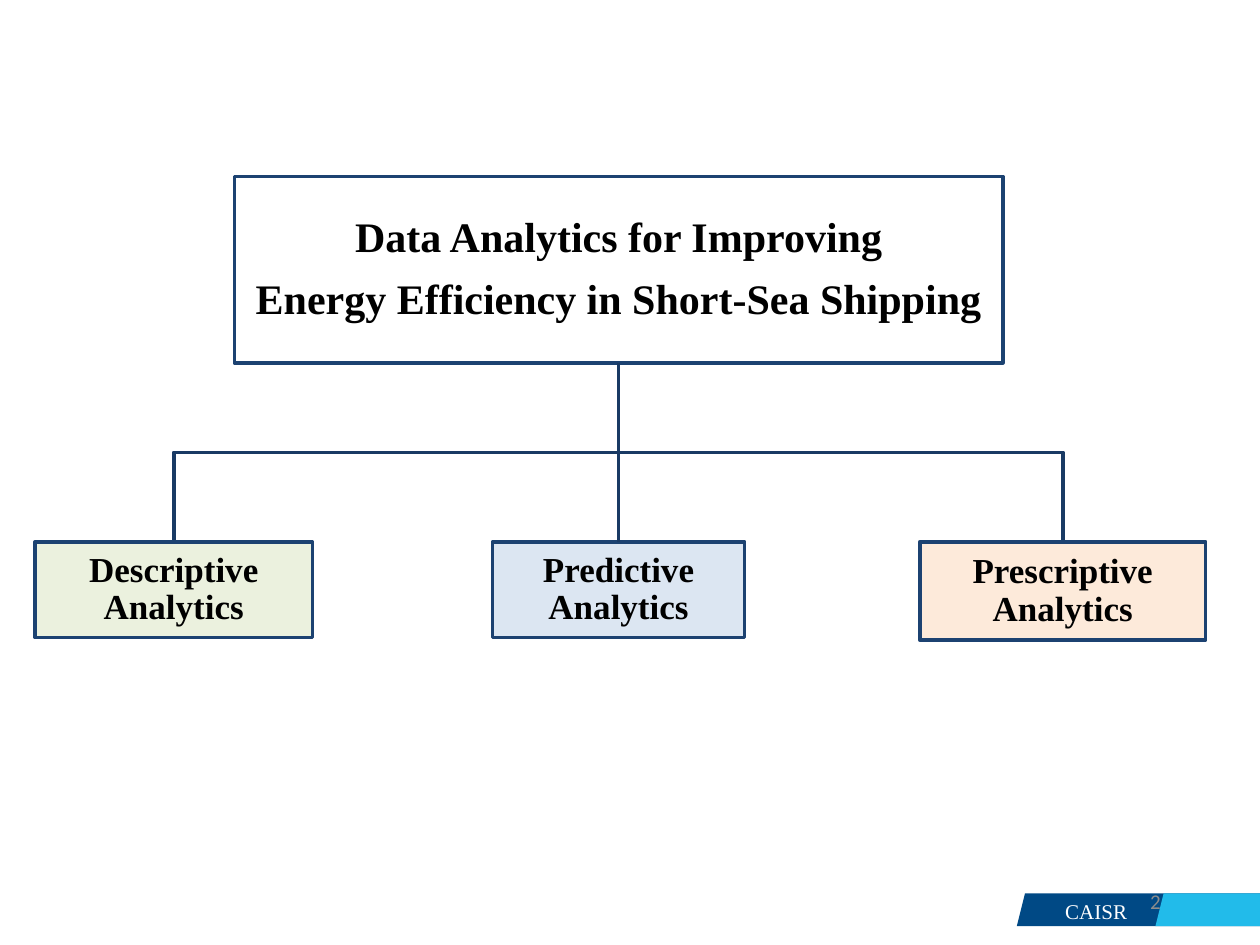
from dataclasses import dataclass

import pptx
import pptx.dml.color
import pptx.enum.shapes
import pptx.enum.text
import pptx.util
from lxml import etree

Inches = pptx.util.Inches
Pt = pptx.util.Pt
RGBColor = pptx.dml.color.RGBColor
Align = pptx.enum.text.PP_ALIGN
ShapeKind = pptx.enum.shapes.MSO_SHAPE

WHITE = RGBColor(0xFF, 0xFF, 0xFF)
BLACK = RGBColor(0x00, 0x00, 0x00)
GREY = RGBColor(0x8C, 0x8C, 0x8C)
BORDER = RGBColor(0x1C, 0x42, 0x71)
LINK = RGBColor(0x19, 0x3A, 0x64)
NAVY = RGBColor(0x00, 0x49, 0x85)
CYAN = RGBColor(0x22, 0xBB, 0xEA)
GREEN = RGBColor(0xEB, 0xF1, 0xDE)
BLUE = RGBColor(0xDC, 0xE6, 0xF2)
ORANGE = RGBColor(0xFD, 0xEA, 0xDA)

SERIF = "Times New Roman"
LINE_WIDTH = Pt(2)
BUS_Y = Inches(3.59)


@dataclass
class Node:
    lines: list[str]
    left: float
    top: float
    width: float
    height: float
    fill: RGBColor
    size: int = 20
    inset: float = 0.01


@dataclass
class Label:
    text: str
    left: float
    top: float
    width: float
    align: Align
    font: str
    color: RGBColor


ROOT = Node(["Data Analytics for Improving", "Energy Efficiency in Short-Sea Shipping"],
            1.86, 1.4, 6.1, 1.48, WHITE, 24, 0.02)
LEFT = Node(["Descriptive Analytics"], 0.28, 4.3, 2.2, 0.76, GREEN)
MIDDLE = Node(["Predictive Analytics"], 3.91, 4.3, 2.0, 0.76, BLUE)
RIGHT = Node(["Prescriptive Analytics"], 7.3, 4.3, 2.27, 0.78, ORANGE)
BRAND = Label("CAISR", 7.91, 7.03, 1.58, Align.CENTER, SERIF, WHITE)
PAGE_NUMBER = Label("2", 7.06, 6.95, 2.25, Align.RIGHT, "Calibri", GREY)


def add_run(p, text: str, font: str, size: int, color: RGBColor, bold: bool = False) -> None:
    r = p.add_run()
    r.text = text
    r.font.name = font
    r.font.size = Pt(size)
    r.font.bold = bold
    r.font.color.rgb = color


def add_node(s, node: Node):
    sp = s.shapes.add_shape(ShapeKind.RECTANGLE, Inches(node.left), Inches(node.top),
                            Inches(node.width), Inches(node.height))
    sp.shadow.inherit = False
    sp.fill.solid()
    sp.fill.fore_color.rgb = node.fill
    sp.line.color.rgb = BORDER
    sp.line.width = LINE_WIDTH
    tf = sp.text_frame
    tf.word_wrap = True
    tf.vertical_anchor = pptx.enum.text.MSO_ANCHOR.MIDDLE
    tf.margin_left = tf.margin_right = Inches(node.inset)
    tf.margin_top = tf.margin_bottom = Inches(node.inset)
    for i, line in enumerate(node.lines):
        p = tf.add_paragraph() if i else tf.paragraphs[0]
        p.alignment = Align.CENTER
        p.line_spacing = 0.9
        p.space_after = Pt(node.size * 0.4)
        add_run(p, line, SERIF, node.size, BLACK, True)
    return sp


def add_branch(s, root: Node, child: Node) -> None:
    start_x = Inches(root.left + root.width / 2)
    end_x = Inches(child.left + child.width / 2)
    builder = s.shapes.build_freeform(start_x, Inches(root.top + root.height))
    builder.add_line_segments(
        [(start_x, BUS_Y), (end_x, BUS_Y), (end_x, Inches(child.top))], close=False)
    sp = builder.convert_to_shape()
    sp.shadow.inherit = False
    sp.fill.background()
    sp.line.color.rgb = LINK
    sp.line.width = LINE_WIDTH


def add_trunk(s, root_sp, child_sp) -> None:
    c = s.shapes.add_connector(pptx.enum.shapes.MSO_CONNECTOR.STRAIGHT, 0, 0, 0, 0)
    c.begin_connect(root_sp, 2)
    c.end_connect(child_sp, 0)
    c.line.color.rgb = LINK
    c.line.width = LINE_WIDTH
    etree.SubElement(c._element.spPr, pptx.oxml.ns.qn("a:effectLst"))


def add_footer_band(s, left: float, width: float, color: RGBColor) -> None:
    sp = s.shapes.add_shape(ShapeKind.PARALLELOGRAM, Inches(left), Inches(7.09),
                            Inches(width), Inches(0.26))
    sp.shadow.inherit = False
    sp.fill.solid()
    sp.fill.fore_color.rgb = color
    sp.line.fill.background()


def add_label(s, label: Label) -> None:
    sp = s.shapes.add_textbox(Inches(label.left), Inches(label.top),
                              Inches(label.width), Inches(0.4))
    tf = sp.text_frame
    tf.word_wrap = True
    tf.vertical_anchor = pptx.enum.text.MSO_ANCHOR.MIDDLE
    p = tf.paragraphs[0]
    p.alignment = label.align
    add_run(p, label.text, label.font, 12, label.color)


def main() -> None:
    prs = pptx.Presentation()
    prs.slide_width = Inches(10)
    prs.slide_height = Inches(7.5)
    s = prs.slides.add_slide(prs.slide_layouts[6])

    add_footer_band(s, 8.07, 2.05, NAVY)
    add_label(s, BRAND)
    add_footer_band(s, 9.17, 1.02, CYAN)
    add_label(s, PAGE_NUMBER)

    for child in (RIGHT, LEFT):
        add_branch(s, ROOT, child)
    root_sp, _, middle_sp, _ = [add_node(s, node) for node in (ROOT, LEFT, MIDDLE, RIGHT)]
    add_trunk(s, root_sp, middle_sp)

    prs.save("out.pptx")


if __name__ == "__main__":
    main()
